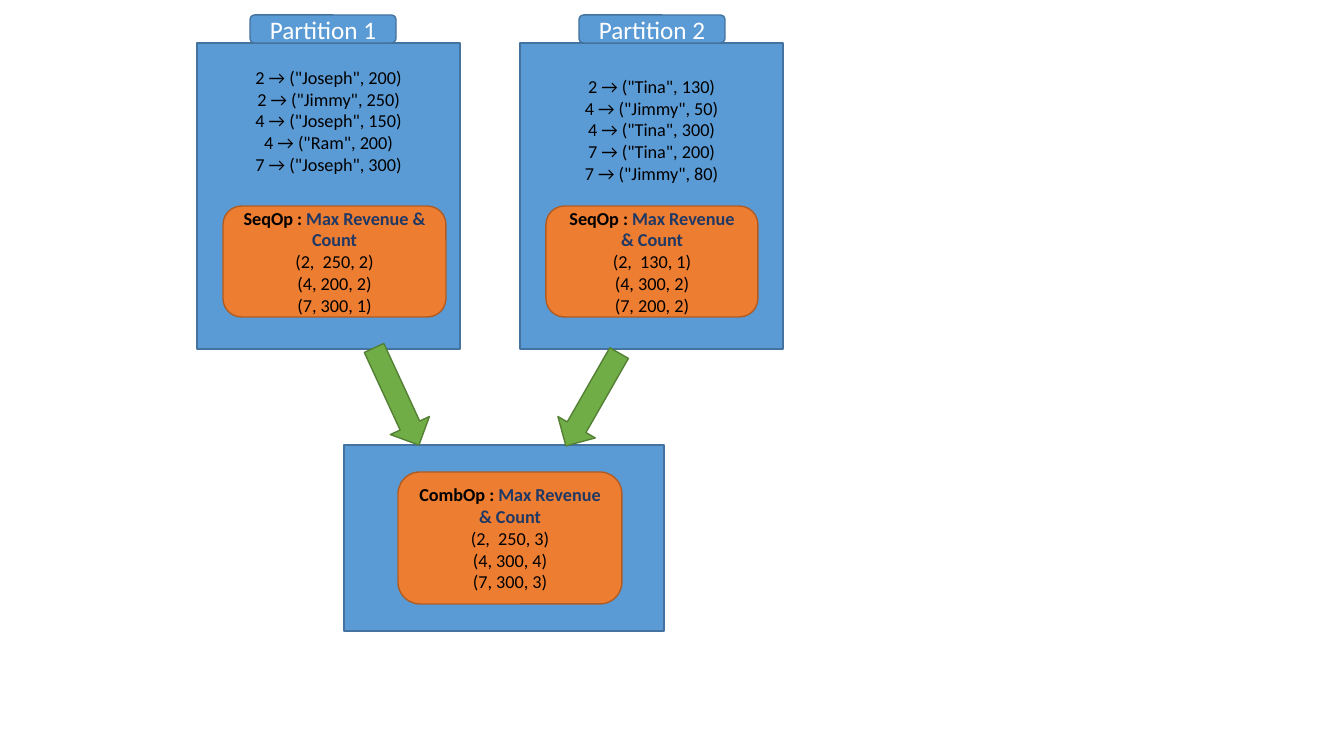
import pptx
import pptx.dml.color
import pptx.enum.shapes
import pptx.enum.text
import pptx.util

SHAPE = pptx.enum.shapes.MSO_SHAPE
ANCHOR = pptx.enum.text.MSO_ANCHOR

COLORS = {
    "blue": "5B9BD5", "blue_line": "43739E",
    "orange": "ED7D31", "orange_line": "AF5C24",
    "green": "70AD47", "green_line": "538035",
    "black": "000000", "navy": "203864", "white": "FFFFFF",
}
METRIC = "Max Revenue & Count"

# Boxes are left, top, width, height in px
PARTITIONS = [
    {
        "name": "Partition 1", "label": (250, 15, 146, 28),
        "box": (197, 43, 263, 306), "text_top": 23,
        "records": ['2 → ("Joseph", 200)', '2 → ("Jimmy", 250)',
                    '4 → ("Joseph", 150)', '4 → ("Ram", 200)',
                    '7 → ("Joseph", 300)'],
        "seq_box": (223, 206, 223, 111),
        "results": ["(2,  250, 2)", "(4, 200, 2)", "(7, 300, 1)"],
        "arrow": (375, 343, 43, 107), "angle": 335.2,
    },
    {
        "name": "Partition 2", "label": (579, 15, 146, 28),
        "box": (520, 43, 263, 306), "text_top": 32,
        "records": ['2 → ("Tina", 130)', '4 → ("Jimmy", 50)',
                    '4 → ("Tina", 300)', '7 → ("Tina", 200)',
                    '7 → ("Jimmy", 80)'],
        "seq_box": (546, 206, 212, 111),
        "results": ["(2,  130, 1)", "(4, 300, 2)", "(7, 200, 2)"],
        "arrow": (571, 346, 43, 107), "angle": 29.8,
    },
]
COMBINED = {
    "box": (344, 445, 320, 186), "comb_box": (398, 472, 224, 132),
    "results": ["(2,  250, 3)", "(4, 300, 4)", "(7, 300, 3)"],
}


def px(n):
    return pptx.util.Emu(round(n * 914400 / 100.8))


def rgb(name):
    return pptx.dml.color.RGBColor.from_string(COLORS[name])


def add_shape(slide, kind, box, color, angle=0):
    sp = slide.shapes.add_shape(kind, *map(px, box))
    sp.rotation = angle
    sp.shadow.inherit = False
    sp.fill.solid()
    sp.fill.fore_color.rgb = rgb(color)
    sp.line.color.rgb = rgb(color + "_line")
    sp.line.width = pptx.util.Pt(1)
    return sp


def set_text(sp, lines, size=13, color="black", anchor=ANCHOR.MIDDLE, top=0):
    """Fill a shape; a line is a string or a list of bold (text, color) runs."""
    tf = sp.text_frame
    tf.word_wrap = True
    tf.vertical_anchor = anchor
    tf.margin_top, tf.margin_bottom = px(top), 0
    for i, line in enumerate(lines):
        p = tf.paragraphs[0] if i == 0 else tf.add_paragraph()
        p.alignment = pptx.enum.text.PP_ALIGN.CENTER
        plain = isinstance(line, str)
        for text, run_color in [(line, color)] if plain else line:
            r = p.add_run()
            r.text = text
            r.font.name = "Calibri"
            r.font.size = pptx.util.Pt(size)
            r.font.bold = not plain
            r.font.color.rgb = rgb(run_color)


def add_operation(slide, box, name, results):
    sp = add_shape(slide, SHAPE.ROUNDED_RECTANGLE, box, "orange")
    heading = [(name + " : ", "black"), (METRIC, "navy")]
    set_text(sp, [heading] + results)


def main():
    prs = pptx.Presentation()
    prs.slide_width, prs.slide_height = px(1344), px(756)
    slide = prs.slides.add_slide(prs.slide_layouts[6])

    add_shape(slide, SHAPE.RECTANGLE, COMBINED["box"], "blue")
    add_operation(slide, COMBINED["comb_box"], "CombOp", COMBINED["results"])

    for part in PARTITIONS:
        sp = add_shape(slide, SHAPE.RECTANGLE, part["box"], "blue")
        set_text(sp, part["records"], anchor=ANCHOR.TOP, top=part["text_top"])
        add_operation(slide, part["seq_box"], "SeqOp", part["results"])
        add_shape(slide, SHAPE.DOWN_ARROW, part["arrow"], "green", part["angle"])
        sp = add_shape(slide, SHAPE.ROUNDED_RECTANGLE, part["label"], "blue")
        set_text(sp, [part["name"]], size=18, color="white")

    prs.save("out.pptx")


if __name__ == "__main__":
    main()
